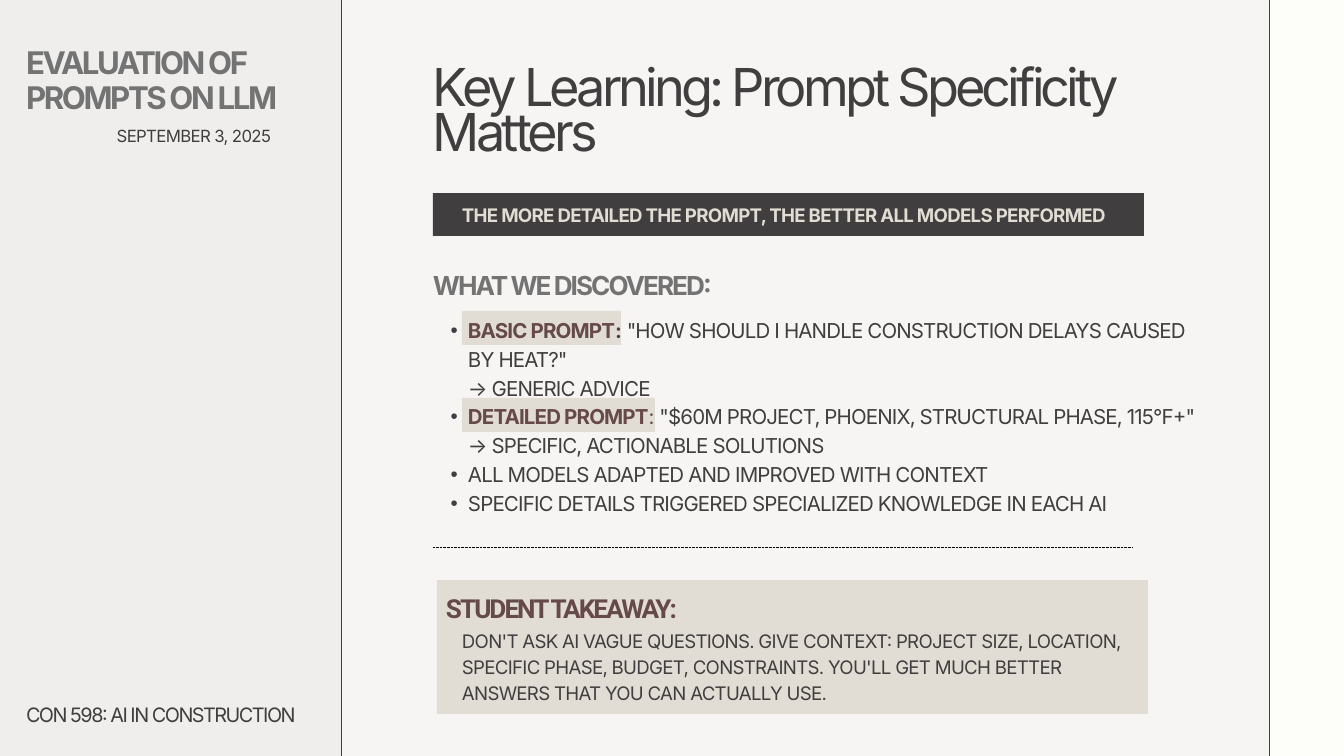
from lxml.etree import SubElement
from pptx import Presentation
from pptx.dml.color import RGBColor
from pptx.enum.dml import MSO_LINE_DASH_STYLE as Dash
from pptx.enum.shapes import MSO_CONNECTOR_TYPE as Connector, MSO_SHAPE as Shape
from pptx.enum.text import PP_ALIGN as Align
from pptx.oxml.ns import qn
from pptx.util import Emu, Pt

PX = 914400 / 67.2  # EMU in one px
PAPER, PANEL, STRIP = "F6F5F3", "EFEEEC", "FDFDFA"
INK, GREY, SAND, WINE = "403E3E", "737373", "E1DDD4", "664949"
BULLET_INDENT = 35


def px(length):
    return Emu(round(length * PX))


def rgb(color):
    return RGBColor.from_string(color)


def add_block(slide, left, top, width, height, fill, outline=None):
    block = slide.shapes.add_shape(Shape.RECTANGLE, px(left), px(top), px(width), px(height))
    block.shadow.inherit = False
    block.fill.solid()
    block.fill.fore_color.rgb = rgb(fill)
    if outline:
        block.line.color.rgb = rgb(outline)
        block.line.width = Pt(0.75)
    else:
        block.line.fill.background()


def add_divider(slide, left, right, y):
    divider = slide.shapes.add_connector(Connector.STRAIGHT, px(left), px(y), px(right), px(y))
    SubElement(divider._element.spPr, qn("a:effectLst"))
    divider.line.color.rgb = rgb("000000")
    divider.line.width = Pt(0.75)
    divider.line.dash_style = Dash.ROUND_DOT


def add_frame(slide, left, top, width, height):
    frame = slide.shapes.add_textbox(px(left), px(top), px(width), px(height)).text_frame
    frame.word_wrap = True
    frame.margin_left = frame.margin_right = frame.margin_top = frame.margin_bottom = 0
    return frame


def add_run(paragraph, text, size, color, spacing, bold=False, font="Inter"):
    run = paragraph.add_run()
    run.text = text
    run.font.size = Pt(size)
    run.font.name = font
    run.font.bold = bold
    run.font.color.rgb = rgb(color)
    run._r.get_or_add_rPr().set("spc", str(round(spacing * 100)))


def add_label(slide, box, text, size, leading, color, spacing,
              bold=False, font="Inter", align=Align.LEFT):
    paragraph = add_frame(slide, *box).paragraphs[0]
    paragraph.alignment = align
    paragraph.line_spacing = Pt(leading)
    add_run(paragraph, text, size, color, spacing, bold, font)


def indent(paragraph, bulleted):
    props = paragraph._p.get_or_add_pPr()
    props.set("marL", str(px(BULLET_INDENT)))
    if bulleted:
        paragraph.level = 1
        props.set("indent", str(-px(BULLET_INDENT / 2)))
        bullet_color = SubElement(props, qn("a:buClr"))
        SubElement(bullet_color, qn("a:srgbClr")).set("val", INK)
        SubElement(props, qn("a:buFont")).set("typeface", "Arial")
        SubElement(props, qn("a:buChar")).set("char", "•")


def add_findings(slide, box, findings):
    """Each finding is (bulleted, [(text, color, bold), ...])."""
    frame = add_frame(slide, *box)
    for index, (bulleted, pieces) in enumerate(findings):
        paragraph = frame.add_paragraph() if index else frame.paragraphs[0]
        indent(paragraph, bulleted)
        paragraph.line_spacing = Pt(30.8)
        for text, color, bold in pieces:
            add_run(paragraph, text, 22, color, -0.9, bold)


def main():
    deck = Presentation()
    deck.slide_width, deck.slide_height = px(1344), px(756)
    slide = deck.slides.add_slide(deck.slide_layouts[6])
    slide.background.fill.solid()
    slide.background.fill.fore_color.rgb = rgb(PAPER)

    # Side panels, bleeding past the slide edges
    add_block(slide, 1269, -16, 79, 788, STRIP, INK)
    add_block(slide, -98, -32, 439, 788, PANEL, INK)

    # Left panel
    add_label(slide, (26, 47, 329, 69), "EVALUATION OF PROMPTS ON LLM",
              33.4, 36.7, GREY, -2.5, bold=True)
    add_label(slide, (66, 122, 205, 23), "SEPTEMBER 3, 2025",
              18, 25.2, INK, -0.7, align=Align.RIGHT)
    add_label(slide, (26, 699, 271, 28), "CON 598: AI IN CONSTRUCTION",
              21.3, 29.9, INK, -1.6)

    # Title and key message
    add_label(slide, (433, 73, 698, 137), "Key Learning: Prompt Specificity Matters",
              56, 47.6, INK, -4.2)
    add_block(slide, 433, 193, 711, 43, INK)
    add_label(slide, (462, 200, 661, 25),
              "THE MORE DETAILED THE PROMPT, THE BETTER ALL MODELS PERFORMED",
              20, 28, SAND, -0.8, bold=True)

    # Findings, with the two prompt names highlighted
    add_label(slide, (433, 264, 288, 73), "WHAT WE DISCOVERED:",
              28, 39.2, GREY, -2.1, bold=True)
    for top, width in ((311, 159), (398, 193)):
        add_block(slide, 462, top, width, 34, SAND)
    add_findings(slide, (433, 314, 777, 200), [
        (True, [("BASIC PROMPT", WINE, True), (":", INK, True),
                (' "HOW SHOULD I HANDLE CONSTRUCTION DELAYS CAUSED BY HEAT?"', INK, False)]),
        (False, [("→ GENERIC ADVICE", INK, False)]),
        (True, [("DETAILED PROMPT", WINE, True), (":", WINE, False),
                (' "$60M PROJECT, PHOENIX, STRUCTURAL PHASE, 115°F+"'
                 " → SPECIFIC, ACTIONABLE SOLUTIONS", INK, False)]),
        (True, [("ALL MODELS ADAPTED AND IMPROVED WITH CONTEXT", INK, False)]),
        (True, [("SPECIFIC DETAILS TRIGGERED SPECIALIZED KNOWLEDGE IN EACH AI", INK, False)]),
    ])
    add_divider(slide, 433, 1132, 547)

    # Takeaway
    add_block(slide, 437, 580, 711, 134, SAND)
    add_label(slide, (446, 587, 288, 36), "STUDENT TAKEAWAY:",
              28, 39.2, WINE, -2.1, bold=True, font="Roboto")
    add_label(slide, (462, 626, 671, 77),
              "DON'T ASK AI VAGUE QUESTIONS. GIVE CONTEXT: PROJECT SIZE, LOCATION, "
              "SPECIFIC PHASE, BUDGET, CONSTRAINTS. YOU'LL GET MUCH BETTER ANSWERS "
              "THAT YOU CAN ACTUALLY USE.",
              20, 28, INK, -0.8)

    deck.save("out.pptx")


if __name__ == "__main__":
    main()
